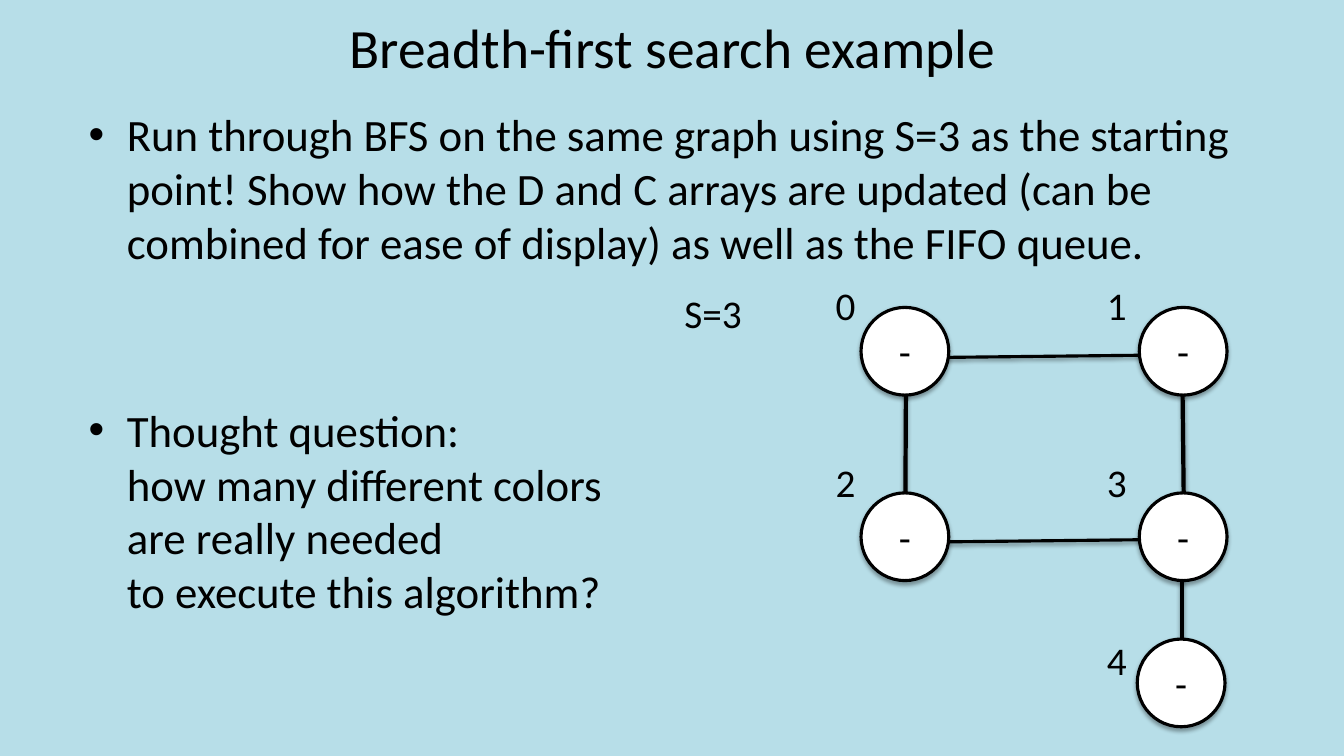
from dataclasses import dataclass

from lxml.etree import SubElement
from pptx import Presentation
from pptx.dml.color import RGBColor
from pptx.enum.shapes import MSO_CONNECTOR, MSO_SHAPE
from pptx.enum.text import MSO_ANCHOR, MSO_AUTO_SIZE, PP_ALIGN
from pptx.oxml.ns import qn
from pptx.util import Inches, Pt

# Content
TITLE = "Breadth-first search example"
BULLETS = [  # space before in points, lines
    (6.4, ["Run through BFS on the same graph using S=3 as the starting point! "
           "Show how the D and C arrays are updated (can be combined for ease of "
           "display) as well as the FIFO queue."]),
    (96, ["Thought question: ", "how many different colors ",
          "are really needed ", "to execute this algorithm?"]),
]
START = ("S=3", 6.69, 2.82, 0.78)
NODE_VALUE = "-"
NODES = [  # left and top of the circle, column and row of the label
    (8.54, 3.05, 0, 0),
    (11.3, 3.05, 1, 0),
    (8.54, 4.89, 0, 1),
    (11.3, 4.89, 1, 1),
    (11.28, 6.34, 1, 2),
]
EDGES = [  # from, to, width in points
    ((11.72, 3.07), (11.74, 4.89), 3),
    ((8.99, 3.04), (8.98, 4.89), 3),
    ((8.99, 3.55), (11.72, 3.52), 2.25),
    ((8.99, 5.38), (11.72, 5.35), 2.25),
    ((11.72, 5.35), (11.72, 6.77), 3),
]

# Layout
DIAMETER = 0.87
LABEL_LEFT, LABEL_TOP = 8.19, 2.74
LABEL_STEP_X, LABEL_STEP_Y = 2.69, 1.76
LABEL_WIDTH, LABEL_HEIGHT = 0.4, 0.57
INDENT = Inches(0.38)


@dataclass(frozen=True)
class Theme:
    background: RGBColor = RGBColor(0xB7, 0xDE, 0xE8)
    ink: RGBColor = RGBColor(0, 0, 0)
    node: RGBColor = RGBColor(0xFF, 0xFF, 0xFF)
    font: str = "Calibri"
    title_size: float = 39.6
    body_size: float = 32
    graph_size: float = 28
    node_line: float = 2.25


THEME = Theme()


def add_run(paragraph, text, size):
    run = paragraph.add_run()
    run.text = text
    run.font.name = THEME.font
    run.font.size = Pt(size)
    run.font.color.rgb = THEME.ink


def add_shadow(shape, distance, opacity):
    properties = shape._element.spPr
    effects = properties.find(qn("a:effectLst"))
    if effects is None:
        effects = SubElement(properties, qn("a:effectLst"))
    shadow = SubElement(effects, qn("a:outerShdw"), blurRad=str(Pt(3.1)),
                        dist=str(Pt(distance)), dir="5400000", rotWithShape="0")
    color = SubElement(shadow, qn("a:srgbClr"), val=str(THEME.ink))
    SubElement(color, qn("a:alpha"), val=str(opacity * 1000))


def add_label(slide, text, left, top, width):
    box = slide.shapes.add_textbox(Inches(left), Inches(top),
                                   Inches(width), Inches(LABEL_HEIGHT))
    box.text_frame.word_wrap = False
    box.text_frame.auto_size = MSO_AUTO_SIZE.SHAPE_TO_FIT_TEXT
    add_run(box.text_frame.paragraphs[0], text, THEME.graph_size)


def add_title(slide):
    title = slide.shapes.title
    title.left, title.top = Inches(2.17), Inches(0.06)
    title.width, title.height = Inches(9), Inches(0.8)
    frame = title.text_frame
    frame.auto_size = MSO_AUTO_SIZE.NONE
    frame.vertical_anchor = MSO_ANCHOR.MIDDLE
    frame.paragraphs[0].alignment = PP_ALIGN.CENTER
    add_run(frame.paragraphs[0], TITLE, THEME.title_size)


def add_bullets(slide):
    frame = slide.shapes.add_textbox(Inches(0.78), Inches(1.01),
                                     Inches(12), Inches(6.24)).text_frame
    frame.word_wrap = True
    for index, (space, lines) in enumerate(BULLETS):
        paragraph = frame.add_paragraph() if index else frame.paragraphs[0]
        paragraph.space_before = Pt(space)
        properties = paragraph._p.get_or_add_pPr()
        properties.set("marL", str(INDENT))
        properties.set("indent", str(-INDENT))
        SubElement(properties, qn("a:buFont"), typeface="Arial")
        SubElement(properties, qn("a:buChar"), char="•")
        for number, line in enumerate(lines):
            if number:
                paragraph.add_line_break()
            add_run(paragraph, line, THEME.body_size)


def add_edge(slide, start, end, width):
    points = [Inches(value) for value in start + end]
    edge = slide.shapes.add_connector(MSO_CONNECTOR.STRAIGHT, *points)
    edge.line.color.rgb = THEME.ink
    edge.line.width = Pt(width)
    add_shadow(edge, 1.6, 38)


def add_node(slide, left, top):
    node = slide.shapes.add_shape(MSO_SHAPE.OVAL, Inches(left), Inches(top),
                                  Inches(DIAMETER), Inches(DIAMETER))
    node.shadow.inherit = False
    node.fill.solid()
    node.fill.fore_color.rgb = THEME.node
    node.line.color.rgb = THEME.ink
    node.line.width = Pt(THEME.node_line)
    add_shadow(node, 1.8, 35)
    node.text_frame.vertical_anchor = MSO_ANCHOR.MIDDLE
    paragraph = node.text_frame.paragraphs[0]
    paragraph.alignment = PP_ALIGN.CENTER
    add_run(paragraph, NODE_VALUE, THEME.graph_size)


def main():
    presentation = Presentation()
    presentation.slide_width = Inches(13.33)
    presentation.slide_height = Inches(7.5)
    slide = presentation.slides.add_slide(presentation.slide_layouts[5])
    slide.background.fill.solid()
    slide.background.fill.fore_color.rgb = THEME.background

    # Text
    add_title(slide)
    add_bullets(slide)
    add_label(slide, *START)

    # Graph: edges behind nodes, then node numbers
    for edge in EDGES:
        add_edge(slide, *edge)
    for left, top, _, _ in NODES:
        add_node(slide, left, top)
    for number, (_, _, column, row) in enumerate(NODES):
        add_label(slide, str(number), LABEL_LEFT + column * LABEL_STEP_X,
                  LABEL_TOP + row * LABEL_STEP_Y, LABEL_WIDTH)

    presentation.save("out.pptx")


if __name__ == "__main__":
    main()
